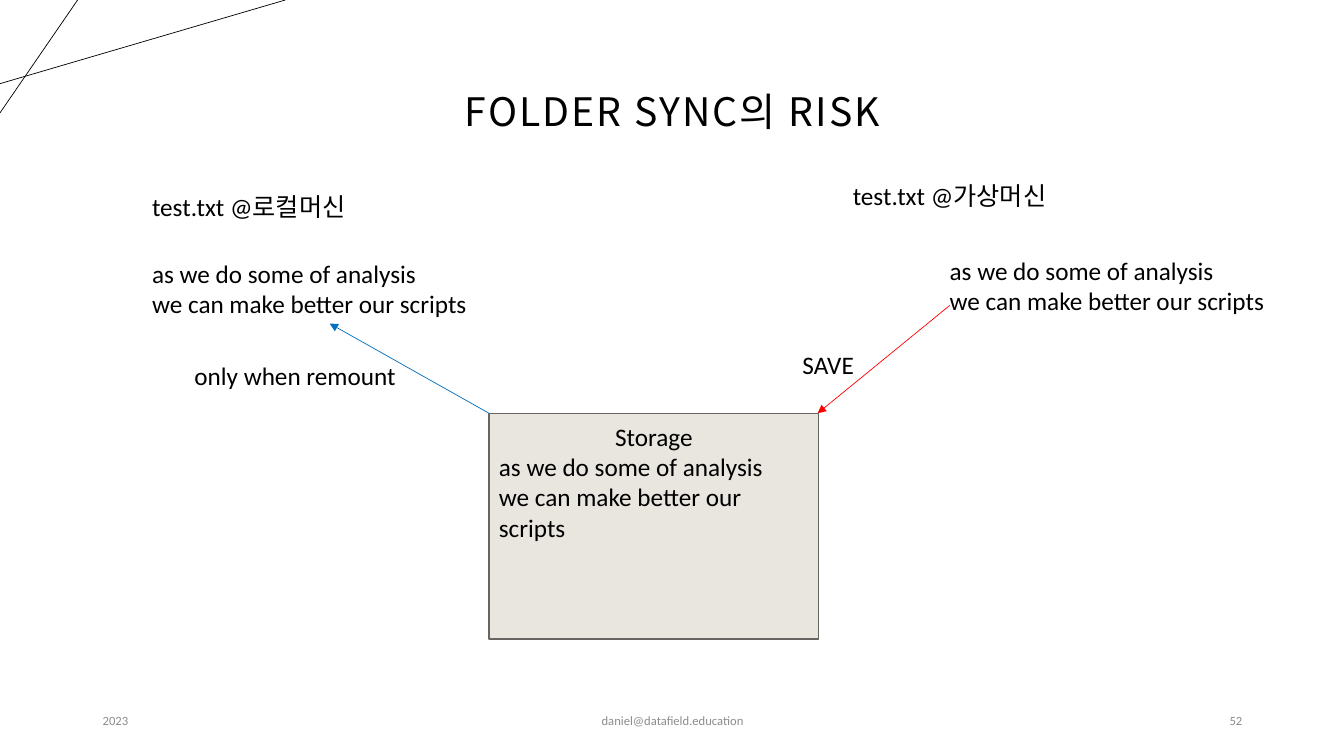
from dataclasses import dataclass

import lxml.etree
import pptx
import pptx.dml.color
import pptx.enum.shapes
import pptx.enum.text
import pptx.oxml.ns
import pptx.util

Inches = pptx.util.Inches
Align = pptx.enum.text.PP_ALIGN
Anchor = pptx.enum.text.MSO_ANCHOR
qn = pptx.oxml.ns.qn

COLORS = {
    "ink": "000000",
    "muted": "8C8C8C",
    "storage": "E9E6DF",
    "border": "666562",
    "save": "FF0000",
    "remount": "0070C0",
}
BODY_FONT = "Calibri"
KOREAN_FONT = "Noto Sans CJK KR"
SCRIPT_LINES = ("as we do some of analysis", "we can make better our scripts")


@dataclass
class Label:
    at: tuple[float, float, float, float]
    lines: tuple[str, ...]
    size: float = 18
    font: str = BODY_FONT
    color: str = "ink"
    align: Align = Align.LEFT
    anchor: Anchor = Anchor.TOP
    line_spacing: float = 1.0
    tracking: float = 0


@dataclass
class Line:
    start: tuple[float, float]
    end: tuple[float, float]
    color: str = "ink"
    arrow: bool = False


def rgb(name: str) -> pptx.dml.color.RGBColor:
    return pptx.dml.color.RGBColor.from_string(COLORS[name])


def write_lines(frame, label: Label) -> None:
    for name, value in {"word_wrap": True, "vertical_anchor": label.anchor}.items():
        setattr(frame, name, value)
    for index, text in enumerate(label.lines):
        para = frame.paragraphs[0] if index == 0 else frame.add_paragraph()
        para.alignment = label.align
        para.line_spacing = label.line_spacing
        span = para.add_run()
        span.text = text
        formats = {"name": label.font, "size": pptx.util.Pt(label.size)}
        for name, value in formats.items():
            setattr(span.font, name, value)
        span.font.color.rgb = rgb(label.color)
        properties = span.font._element
        lxml.etree.SubElement(properties, qn("a:ea"), typeface=KOREAN_FONT)
        if label.tracking:
            properties.set("spc", str(round(label.tracking * 100)))


def add_label(page, label: Label) -> None:
    box = page.shapes.add_textbox(*map(Inches, label.at))
    write_lines(box.text_frame, label)


def add_line(page, line: Line) -> None:
    connector = page.shapes.add_connector(
        pptx.enum.shapes.MSO_CONNECTOR.STRAIGHT,
        *map(Inches, line.start + line.end),
    )
    connector.line.color.rgb = rgb(line.color)
    connector.line.width = pptx.util.Pt(0.5)
    if line.arrow:
        outline = connector.line._get_or_add_ln()
        lxml.etree.SubElement(outline, qn("a:tailEnd"), type="triangle")
    lxml.etree.SubElement(connector._element.spPr, qn("a:effectLst"))


def add_storage(page, label: Label) -> None:
    box = page.shapes.add_shape(
        pptx.enum.shapes.MSO_SHAPE.RECTANGLE, *map(Inches, label.at)
    )
    box.shadow.inherit = False
    box.fill.solid()
    box.fill.fore_color.rgb = rgb("storage")
    box.line.color.rgb = rgb("border")
    box.line.width = pptx.util.Pt(1)
    box.text_frame.margin_top = Inches(0.08)
    write_lines(box.text_frame, label)
    box.text_frame.paragraphs[0].alignment = Align.CENTER


def footer(left: float, width: float, text: str, align: Align) -> Label:
    return Label((left, 6.95, width, 0.4), (text,), size=9, color="muted",
                 align=align, anchor=Anchor.MIDDLE)


# Corner decoration, then the two sync directions
LINES = [
    Line((0, 0.83), (2.83, 0)),
    Line((0.77, 0), (0, 1.12)),
    Line((9.42, 3.03), (8.11, 4.1), "save", arrow=True),
    Line((4.85, 4.1), (3.27, 3.21), "remount", arrow=True),
]

LABELS = [
    # Title
    Label((0.92, 0.4, 11.5, 1.45), ("FOLDER SYNC의 RISK",), size=28,
          font=KOREAN_FONT, align=Align.CENTER, anchor=Anchor.MIDDLE,
          line_spacing=0.9, tracking=1.5),
    # Local machine
    Label((1.41, 1.85, 4.15, 0.4), ("test.txt @로컬머신",)),
    Label((1.41, 2.51, 4.16, 0.71), SCRIPT_LINES),
    Label((1.83, 3.53, 3.41, 0.4), ("only when remount",)),
    # Virtual machine
    Label((8.36, 1.74, 4.15, 0.4), ("test.txt @가상머신",)),
    Label((9.32, 2.48, 4.01, 0.71), SCRIPT_LINES),
    Label((7.86, 3.42, 0.8, 0.4), ("SAVE",)),
    # Footer
    footer(0.92, 3, "2023", Align.LEFT),
    footer(4.42, 4.5, "daniel@datafield.education", Align.CENTER),
    footer(9.42, 3, "52", Align.RIGHT),
]

STORAGE = Label((4.85, 4.1, 3.27, 2.24), ("Storage", *SCRIPT_LINES))


def main() -> None:
    deck = pptx.Presentation()
    deck.slide_width = Inches(13.33)
    deck.slide_height = Inches(7.5)
    page = deck.slides.add_slide(deck.slide_layouts[6])
    add_storage(page, STORAGE)
    for line in LINES:
        add_line(page, line)
    for label in LABELS:
        add_label(page, label)
    deck.save("out.pptx")


if __name__ == "__main__":
    main()
